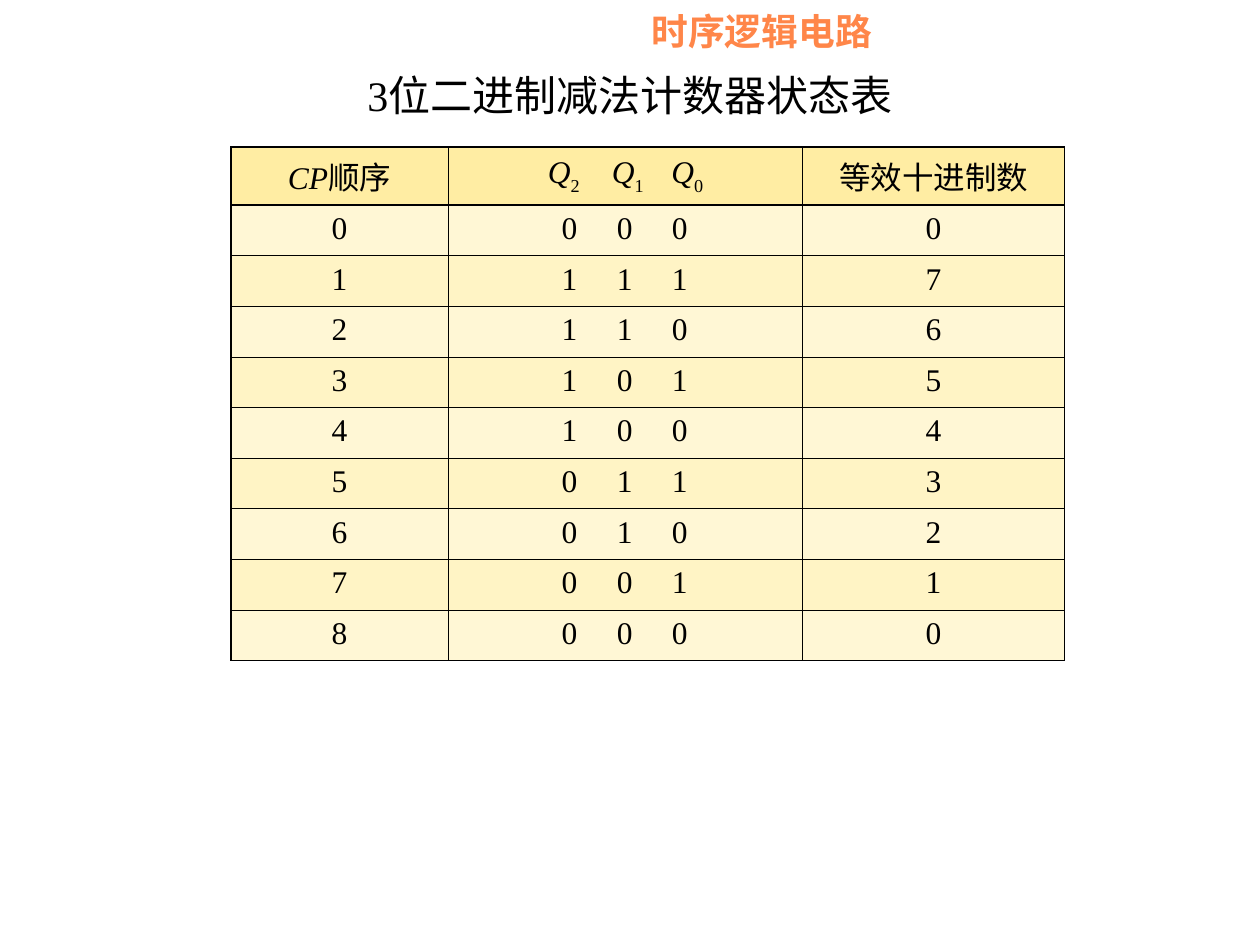
from lxml.etree import SubElement
from pptx import Presentation
from pptx.dml.color import RGBColor
from pptx.enum.shapes import MSO_SHAPE
from pptx.enum.text import MSO_ANCHOR, MSO_AUTO_SIZE, PP_ALIGN
from pptx.oxml import parse_xml
from pptx.oxml.ns import nsdecls, qn
from pptx.util import Cm, Pt

FONT = "Times New Roman"
THICK, THIN = 0.96, 0.45
HEAD_FILL, BAND_FILLS = "FFEDA3", ("FFF7D5", "FFF4C5")
COL_WIDTHS = (4.37, 7.15, 5.28)
HEAD_HEIGHT, ROW_HEIGHT = 1.15, 1.02
HEAD_TABS, DIGIT_TABS = (1.76, 3.05, 4.25), (2.04, 3.15, 4.26)
STATES = (0, 7, 6, 5, 4, 3, 2, 1, 0)

# Runs of the heading cells: text and style (i italic, s subscript)
HEADINGS = (
    (("CP", "i"), ("顺序", "")),
    (("\tQ", "i"), ("2", "s"), ("\tQ", "i"), ("1", "s"),
     ("\tQ", "i"), ("0", "s")),
    (("等效十进制数", ""),),
)


def rgb(color):
    return RGBColor.from_string(color)


def set_font(p, size, color="000000", bold=False):
    p.font.name, p.font.size, p.font.bold = FONT, Pt(size), bold
    p.font.color.rgb = rgb(color)


def set_tabs(p, stops):
    tabs = SubElement(p._p.get_or_add_pPr(), qn("a:tabLst"))
    for stop in stops:
        SubElement(tabs, qn("a:tab"), pos=str(Cm(stop)), algn="l")


def set_borders(cell, widths):
    tcPr = cell._tc.get_or_add_tcPr()
    for i, (side, width) in enumerate(zip("LRTB", widths)):
        tcPr.insert(i, parse_xml(
            f'<a:ln{side} {nsdecls("a")} w="{Pt(width)}"><a:solidFill>'
            f'<a:srgbClr val="000000"/></a:solidFill></a:ln{side}>'))


def add_chapter_label(s, x, y, w, h):
    sp = s.shapes.add_shape(MSO_SHAPE.RECTANGLE, Cm(x), Cm(y), Cm(w), Cm(h))
    sp.shadow.inherit = False
    sp.fill.solid()
    sp.fill.fore_color.rgb = rgb("FFFFFF")
    sp.line.fill.background()
    tf = sp.text_frame
    tf.word_wrap = True
    tf.vertical_anchor = MSO_ANCHOR.TOP
    tf.margin_left, tf.margin_top = Cm(1.5), Cm(-0.13)
    tf.margin_right = tf.margin_bottom = 0
    p = tf.paragraphs[0]
    p.text, p.alignment = "时序逻辑电路", PP_ALIGN.LEFT
    set_font(p, 21, "FF8649", bold=True)


def set_title(s, x, y, w, h):
    sp = s.shapes.title
    sp.left, sp.top, sp.width, sp.height = Cm(x), Cm(y), Cm(w), Cm(h)
    tf = sp.text_frame
    tf.auto_size = MSO_AUTO_SIZE.NONE
    tf.vertical_anchor = MSO_ANCHOR.TOP
    p = tf.paragraphs[0]
    p.text, p.alignment = "3位二进制减法计数器状态表", PP_ALIGN.CENTER
    set_font(p, 24)


def fill_cell(cell, runs, fill, tabs):
    cell.fill.solid()
    cell.fill.fore_color.rgb = rgb(fill)
    p = cell.text_frame.paragraphs[0]
    p.alignment = PP_ALIGN.LEFT if tabs else PP_ALIGN.CENTER
    if tabs:
        set_tabs(p, tabs)
    set_font(p, 18)
    for text, style in runs:
        r = p.add_run()
        r.text = text
        if style == "i":
            r.font.italic = True
        elif style == "s":
            r._r.get_or_add_rPr().set("baseline", "-30000")


def add_state_table(s, x, y):
    # Each state is written in binary, one digit to a tab stop
    rows = [HEADINGS]
    for pulse, state in enumerate(STATES):
        bits = "".join(f"\t{bit}" for bit in f"{state:03b}")
        rows.append([((str(text), ""),) for text in (pulse, bits, state)])

    last_row, last_col = len(rows) - 1, len(COL_WIDTHS) - 1
    height = HEAD_HEIGHT + last_row * ROW_HEIGHT
    table = s.shapes.add_table(len(rows), len(COL_WIDTHS), Cm(x), Cm(y),
                               Cm(sum(COL_WIDTHS)), Cm(height)).table
    table.first_row = table.horz_banding = False
    for column, width in zip(table.columns, COL_WIDTHS):
        column.width = Cm(width)

    for i, row in enumerate(rows):
        table.rows[i].height = Cm(ROW_HEIGHT if i else HEAD_HEIGHT)
        fill = BAND_FILLS[(i - 1) % 2] if i else HEAD_FILL
        tabs = DIGIT_TABS if i else HEAD_TABS
        for j, runs in enumerate(row):
            cell = table.cell(i, j)
            fill_cell(cell, runs, fill, tabs if j == 1 else None)
            if i == 0:
                cell.vertical_anchor = MSO_ANCHOR.MIDDLE
            # Thick lines run round the table and under the headings
            thick = (j == 0, j == last_col, i <= 1, i in (0, last_row))
            set_borders(cell, [THICK if t else THIN for t in thick])


def main():
    prs = Presentation()
    prs.slide_width, prs.slide_height = Cm(25.4), Cm(19.05)
    s = prs.slides.add_slide(prs.slide_layouts[5])
    add_chapter_label(s, 11.63, 0.3, 11.43, 0.79)
    set_title(s, 4.55, 1.27, 16.3, 1.27)
    add_state_table(s, 4.66, 2.96)
    prs.save("out.pptx")


if __name__ == "__main__":
    main()
